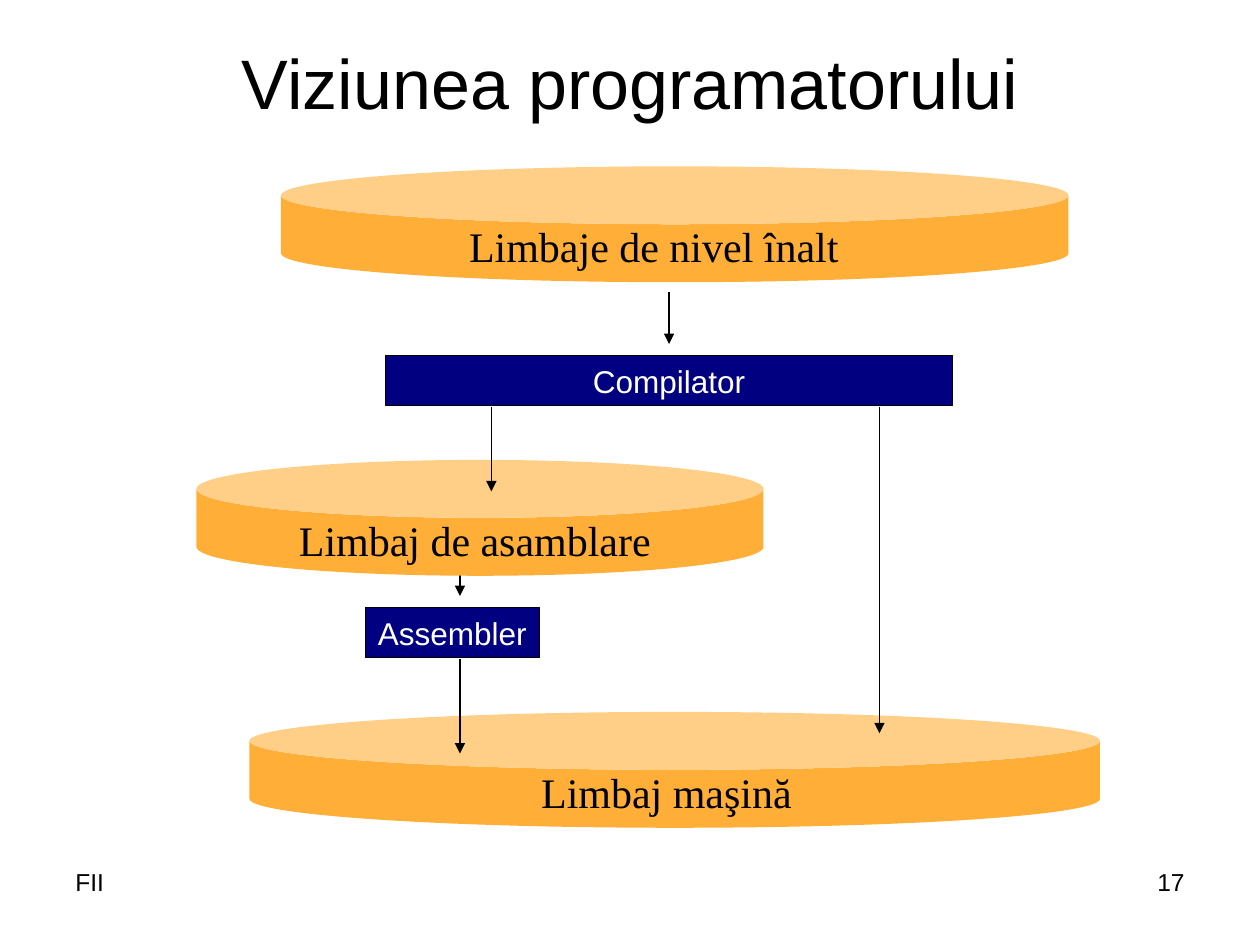
from lxml import etree
from pptx import Presentation
from pptx.dml.color import RGBColor
from pptx.enum.shapes import MSO_CONNECTOR, MSO_SHAPE
from pptx.enum.text import MSO_ANCHOR, PP_ALIGN
from pptx.oxml.ns import qn
from pptx.util import Inches, Pt

CAN, RECTANGLE = MSO_SHAPE.CAN, MSO_SHAPE.RECTANGLE
STRAIGHT = MSO_CONNECTOR.STRAIGHT
TOP, MIDDLE = MSO_ANCHOR.TOP, MSO_ANCHOR.MIDDLE
LEFT, CENTER, RIGHT = PP_ALIGN.LEFT, PP_ALIGN.CENTER, PP_ALIGN.RIGHT
BLACK, WHITE, NAVY, ORANGE = "000000", "FFFFFF", "000080", "FFAE37"
SANS, SERIF = "Arial", "Times New Roman"
LANGUAGE_HEIGHT = 0.92
LINE_WIDTH = 0.75


def rgb(value):
    """Turn a hex string into a colour."""
    return RGBColor.from_string(value)


def write(frame, text, size, font=SANS, color=BLACK, align=CENTER, anchor=MIDDLE, wrap=True):
    """Fill a text frame with one formatted paragraph."""
    frame.word_wrap = wrap
    frame.vertical_anchor = anchor
    paragraph = frame.paragraphs[0]
    paragraph.text = text
    paragraph.alignment = align
    paragraph.font.size = Pt(size)
    paragraph.font.name = font
    paragraph.font.color.rgb = rgb(color)


def add_label(slide, box, text, size, **style):
    """Add a text box."""
    label = slide.shapes.add_textbox(*map(Inches, box))
    write(label.text_frame, text, size, **style)


def add_filled(slide, kind, box, color):
    """Add a flat filled shape without shadow."""
    shape = slide.shapes.add_shape(kind, *map(Inches, box))
    shape.shadow.inherit = False
    shape.fill.solid()
    shape.fill.fore_color.rgb = rgb(color)
    return shape


def add_translator(slide, left, top, width, text):
    """Add a navy box for a translating program."""
    translator = add_filled(slide, RECTANGLE, (left, top, width, 0.4), NAVY)
    translator.line.color.rgb = rgb(BLACK)
    translator.line.width = Pt(LINE_WIDTH)
    write(translator.text_frame, text, 18, color=WHITE, wrap=False)


def add_language(slide, left, top, width, text, text_center):
    """Add an orange disc for a language level with its label."""
    disc = add_filled(slide, CAN, (left, top, width, LANGUAGE_HEIGHT), ORANGE)
    disc.adjustments[0] = 0.5
    disc.line.fill.background()
    label_width = 4
    box = (text_center - label_width / 2, top + 0.42, label_width, 0.42)
    add_label(slide, box, text, 24, font=SERIF)


def add_arrow(slide, x, start, end):
    """Add a downward arrow."""
    arrow = slide.shapes.add_connector(STRAIGHT, *map(Inches, (x, start, x, end)))
    arrow.line.color.rgb = rgb(BLACK)
    arrow.line.width = Pt(LINE_WIDTH)
    etree.SubElement(arrow.line._get_or_add_ln(), qn("a:tailEnd"), type="triangle")
    etree.SubElement(arrow._element.spPr, qn("a:effectLst"))


def main():
    """Build the slide and save it."""
    deck = Presentation()
    deck.slide_width, deck.slide_height = Inches(10), Inches(7.5)
    slide = deck.slides.add_slide(deck.slide_layouts[6])

    add_label(slide, (0.5, 0.3, 9, 0.69), "Viziunea programatorului", 40)
    add_translator(slide, 2.9, 4.82, 1.38, "Assembler")
    add_translator(slide, 3.06, 2.82, 4.5, "Compilator")
    for x, start, end in ((5.31, 2.32, 2.73), (3.65, 4.48, 4.73)):
        add_arrow(slide, x, start, end)
    for language in (
        (2.23, 1.32, 6.25, "Limbaje de nivel înalt", 5.19),
        (1.56, 3.65, 4.5, "Limbaj de asamblare", 3.77),
        (1.98, 5.65, 6.75, "Limbaj maşină", 5.29),
    ):
        add_language(slide, *language)
    for x, start, end in ((3.65, 5.23, 5.98), (3.9, 3.23, 3.9), (6.98, 3.23, 5.82)):
        add_arrow(slide, x, start, end)
    for left, text, align in ((7.17, "17", RIGHT), (0.5, "FII", LEFT)):
        add_label(slide, (left, 6.83, 2.33, 0.52), text, 14, align=align, anchor=TOP)

    deck.save("out.pptx")


if __name__ == "__main__":
    main()
